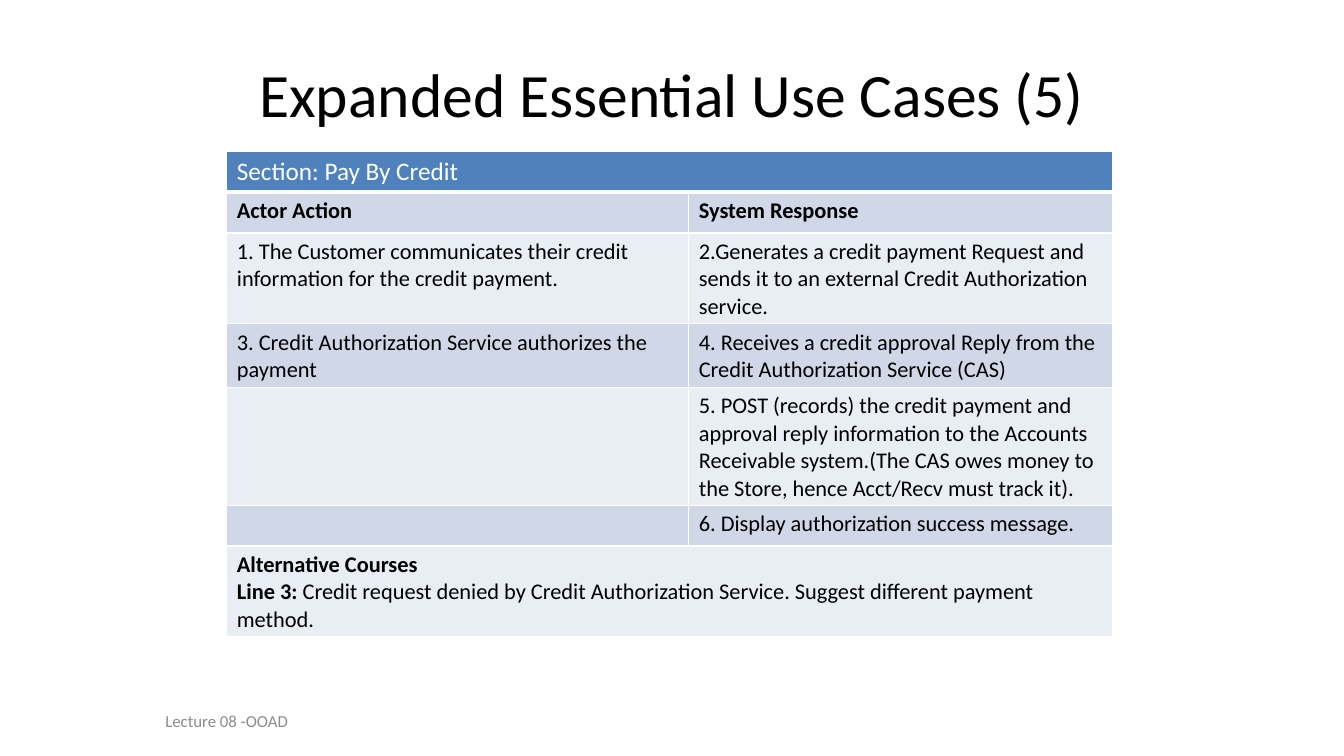
from pptx import Presentation
from pptx.dml.color import RGBColor
from pptx.enum.text import MSO_ANCHOR, PP_ALIGN
from pptx.oxml import parse_xml
from pptx.oxml.ns import nsdecls
from pptx.util import Pt


def color(code):
    return RGBColor.from_string(code)


def style(para, size, code, bold=False):
    for run in para.runs:
        run.font.name = "Calibri"
        run.font.size = Pt(size)
        run.font.bold = bold
        run.font.color.rgb = color(code)


deck = Presentation()
deck.slide_width, deck.slide_height = Pt(960), Pt(540)
slide = deck.slides.add_slide(deck.slide_layouts[6])

# Title and footer
labels = [
    ("Expanded Essential Use Cases (5)", 48, 21.6, 864, 90, 44, "000000"),
    ("Lecture 08 -OOAD", 0, 500.5, 324, 28.75, 12, "8C8C8C"),
]
for text, left, top, width, height, size, code in labels:
    box = slide.shapes.add_textbox(Pt(left), Pt(top), Pt(width), Pt(height))
    frame = box.text_frame
    frame.word_wrap = True
    frame.vertical_anchor = MSO_ANCHOR.MIDDLE
    frame.text = text
    para = frame.paragraphs[0]
    para.alignment = PP_ALIGN.CENTER
    style(para, size, code)

# Use case table
rows = [
    ("Section: Pay By Credit", ""),
    ("Actor Action", "System Response"),
    ("1. The Customer communicates their credit information for the credit payment.",
     "2.Generates a credit payment Request and sends it to an external "
     "Credit Authorization service."),
    ("3. Credit Authorization Service authorizes the payment",
     "4. Receives a credit approval Reply from the Credit Authorization Service (CAS)"),
    ("", "5. POST (records) the credit payment and approval reply information to the "
     "Accounts Receivable system.(The CAS owes money to the Store, hence Acct/Recv "
     "must track it)."),
    ("", "6. Display authorization success message."),
    ("Alternative Courses", ""),
]
last = len(rows) - 1
high = 29.2
table = slide.shapes.add_table(
    len(rows), 2, Pt(162), Pt(108), Pt(633), Pt(high * len(rows))).table
for col, width in zip(table.columns, (330, 303)):
    col.width = Pt(width)
for row in table.rows:
    row.height = Pt(high)
for i in (0, last):
    table.cell(i, 0).merge(table.cell(i, 1))

# Cell text, white borders and banded fills
for i, texts in enumerate(rows):
    for j, text in enumerate(texts):
        cell = table.cell(i, j)
        if text:
            cell.text_frame.text = text
        para = cell.text_frame.paragraphs[0]
        para.font.size = Pt(16)
        style(para, 16 if i else 18, "000000" if i else "FFFFFF", i in (1, last))
        props = cell._tc.get_or_add_tcPr()
        for side in "LRTB":
            thick = 3 if (i, side) in ((0, "B"), (1, "T")) else 1
            props.append(parse_xml(
                f'<a:ln{side} {nsdecls("a")} w="{Pt(thick)}"><a:solidFill>'
                f'<a:srgbClr val="FFFFFF"/></a:solidFill></a:ln{side}>'))
        cell.fill.solid()
        band = "D0D8E8" if i % 2 else "E9EDF4"
        cell.fill.fore_color.rgb = color(band if i else "4F81BD")

# Alternative course
para = table.cell(last, 0).text_frame.add_paragraph()
para.add_run().text = "Line 3:"
para.add_run().text = (" Credit request denied by Credit Authorization Service. "
                       "Suggest different payment method.")
style(para, 16, "000000")
para.runs[0].font.bold = True

deck.save("out.pptx")
